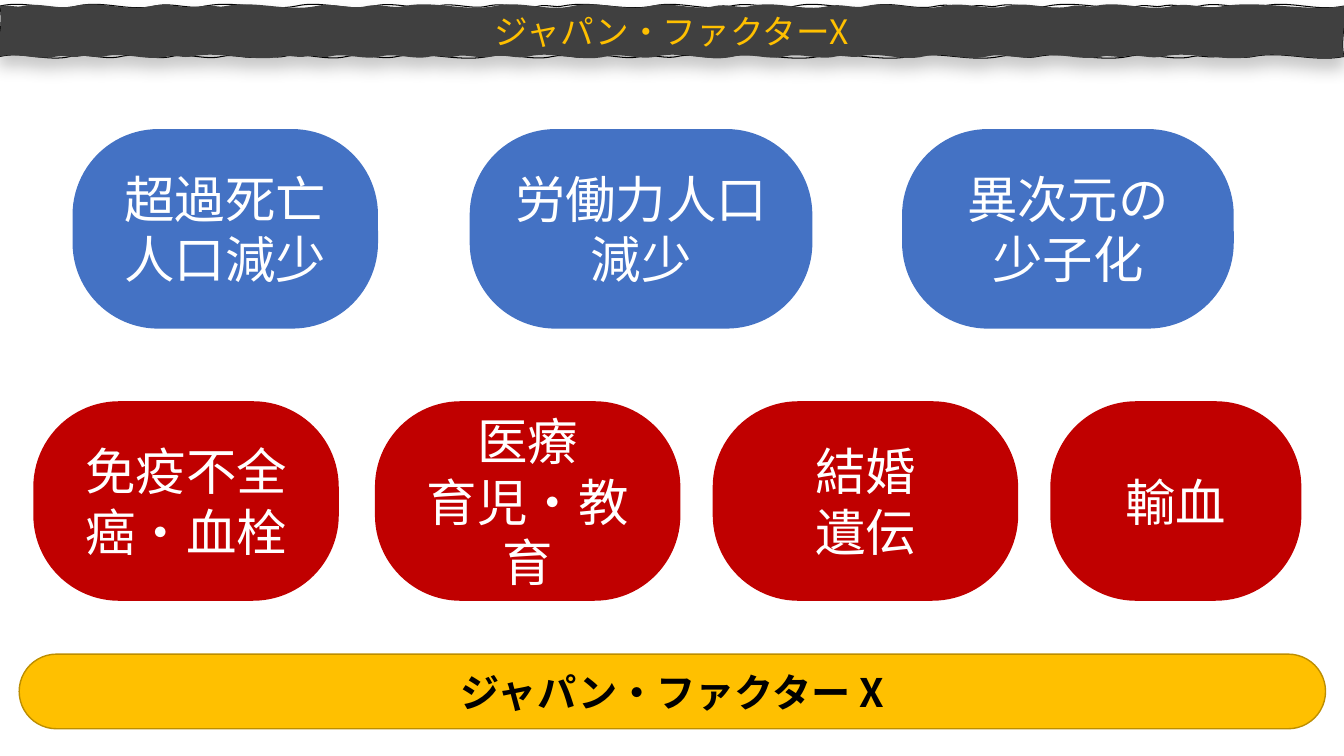
from lxml.etree import SubElement
from pptx import Presentation
from pptx.dml.color import RGBColor
from pptx.enum.shapes import MSO_SHAPE
from pptx.enum.text import MSO_ANCHOR, MSO_AUTO_SIZE, PP_ALIGN
from pptx.oxml.ns import qn
from pptx.util import Inches, Pt

WIDTH, HEIGHT = Inches(13.33), Inches(7.5)
COLUMN, ROW = WIDTH / 100, HEIGHT / 100
FONT = "Noto Sans CJK JP"
BLUE, RED, GOLD = "4472C4", "C00000", "FFC000"
WHITE, BLACK, CHARCOAL, BRONZE = "FFFFFF", "000000", "404040", "BD8E00"

EFFECTS = [
    (5.4, 22.73, "超過死亡\n人口減少"),
    (34.95, 25.5, "労働力人口減少"),
    (67.12, 24.68, "異次元の\n少子化"),
]
CAUSES = [
    (2.48, 22.73, "免疫不全\n癌・血栓"),
    (27.9, 22.73, "医療\n育児・教育"),
    (53.03, 22.73, "結婚\n遺伝"),
    (78.15, 18.68, "輸血"),
]

BANNER_TOP, BANNER_HEIGHT = 0.8, 6.67
LINE_TOP_TEARS = [
    0, 0.77, 1.54, 2.04, 2.94, 3.71, 4.34, 4.84, 5.35, 5.58, 6.48, 7.25,
    7.89, 8.65, 9.29, 9.66, 9.89, 10.39, 11.3, 11.53, 11.9, 12.53, 13.33]
LINE_BOTTOM_TEARS = [
    13.33, 12.43, 12.06, 11.83, 11.19, 10.29, 9.92, 9.02, 8.12, 7.22, 6.72,
    6.35, 5.85, 5.48, 4.84, 3.94, 3.44, 2.81, 2.57, 2.2, 1.7, 1.2, 0.7, 0]
FILL_TOP_TEARS = [
    0, 0.23, 0.74, 1.5, 2.01, 2.24, 3.14, 3.64, 4.01, 4.91, 5.68, 6.45,
    7.09, 7.45, 8.22, 8.59, 9.36, 9.99, 10.63, 10.86, 11.63, 12.13, 13.33]
FILL_BOTTOM_TEARS = [
    13.33, 12.43, 11.53, 11.16, 10.93, 10.29, 9.79, 9.16, 8.52, 8.29, 7.78,
    7.28, 6.51, 6.01, 5.24, 4.88, 4.51, 4.27, 3.77, 3.27, 3.03, 2.8, 1.9,
    1.66, 1.03, 0.79, 0.56, 0]


def rgb(value):
    return RGBColor.from_string(value)


def paint(shape, fill, line=None, weight=1):
    shape.shadow.inherit = False
    shape.fill.solid()
    shape.fill.fore_color.rgb = rgb(fill)
    if line:
        shape.line.color.rgb = rgb(line)
        shape.line.width = Pt(weight)
    else:
        shape.line.fill.background()


def write(shape, words, size, color, bold=False, anchor=MSO_ANCHOR.MIDDLE):
    frame = shape.text_frame
    frame.text = words
    frame.word_wrap = True
    frame.vertical_anchor = anchor
    for paragraph in frame.paragraphs:
        paragraph.alignment = PP_ALIGN.CENTER
        paragraph.line_spacing = Pt(round(size * 1.2))
        for run in paragraph.runs:
            run.font.size = Pt(size)
            run.font.name = FONT
            run.font.bold = bold
            run.font.color.rgb = rgb(color)
            SubElement(run.font._element, qn("a:ea"), typeface=FONT)


def add_pill(slide, left, top, width, height, fill, rounding, line=None):
    pill = slide.shapes.add_shape(
        MSO_SHAPE.ROUNDED_RECTANGLE,
        round(left * COLUMN), round(top * ROW),
        round(width * COLUMN), round(height * ROW))
    pill.adjustments[0] = rounding
    paint(pill, fill, line)
    return pill


def add_pill_row(slide, top, factors, fill):
    for left, width, words in factors:
        pill = add_pill(slide, left, top, width, 26.4, fill, 0.43)
        write(pill, words, 36, WHITE)


def add_point(step, x, y):
    SubElement(step, qn("a:pt"), x=str(round(x)), y=str(round(y)))


def add_curve(path, *points):
    curve = SubElement(path, qn("a:cubicBezTo"))
    for x, y in points:
        add_point(curve, x, y)


def tear_edge(path, tears, base, outward):
    stops = [Inches(tear) for tear in tears]
    for start, end in zip(stops, stops[1:]):
        span = end - start
        depth = outward * min(abs(span) * 0.08, Inches(0.06))
        add_curve(path, (start + span / 3, base + depth),
                  (start + span * 2 / 3, base - depth), (end, base))


def add_torn_path(paths, top_tears, bottom_tears, height, **options):
    path = SubElement(paths, qn("a:path"), w=str(WIDTH), h=str(height),
                      **options)
    add_point(SubElement(path, qn("a:moveTo")), 0, 0)
    tear_edge(path, top_tears, 0, -1)
    add_curve(path, (WIDTH * 1.002, height * 0.3),
              (WIDTH * 0.997, height * 0.7), (WIDTH, height))
    tear_edge(path, bottom_tears, height, 1)
    add_curve(path, (-WIDTH * 0.003, height * 0.75),
              (WIDTH * 0.003, height * 0.4), (0, 0))
    SubElement(path, qn("a:close"))


def add_soft_shadow(shape):
    effects = shape._element.spPr.find(qn("a:effectLst"))
    shadow = SubElement(
        effects, qn("a:outerShdw"), blurRad=str(Inches(0.16)),
        dist=str(Inches(0.1)), dir="5400000", rotWithShape="0")
    tint = SubElement(shadow, qn("a:srgbClr"), val=BLACK)
    SubElement(tint, qn("a:alpha"), val="22000")


def add_banner(slide, words):
    top, height = round(BANNER_TOP * ROW), round(BANNER_HEIGHT * ROW)
    builder = slide.shapes.build_freeform(0, top)
    builder.add_line_segments(
        [(WIDTH, top), (WIDTH, top + height), (0, top + height)])
    banner = builder.convert_to_shape()
    paths = banner._element.spPr.find(qn("a:custGeom")).find(qn("a:pathLst"))
    paths.remove(paths[0])
    add_torn_path(paths, LINE_TOP_TEARS, LINE_BOTTOM_TEARS, height,
                  fill="none")
    add_torn_path(paths, FILL_TOP_TEARS, FILL_BOTTOM_TEARS, height,
                  stroke="0")
    paint(banner, CHARCOAL, BLACK, 0.75)
    add_soft_shadow(banner)
    write(banner, words, 24, GOLD, anchor=MSO_ANCHOR.TOP)
    banner.text_frame.auto_size = MSO_AUTO_SIZE.SHAPE_TO_FIT_TEXT


def main():
    deck = Presentation()
    deck.slide_width, deck.slide_height = WIDTH, HEIGHT
    slide = deck.slides.add_slide(deck.slide_layouts[6])
    add_pill_row(slide, 17.07, EFFECTS, BLUE)
    add_pill_row(slide, 53.07, CAUSES, RED)
    add_banner(slide, "ジャパン・ファクターX")
    conclusion = add_pill(slide, 1.43, 86.53, 97.2, 9.87, GOLD, 0.5, BRONZE)
    write(conclusion, "ジャパン・ファクター X", 28, BLACK, bold=True)
    deck.save("out.pptx")


if __name__ == "__main__":
    main()
